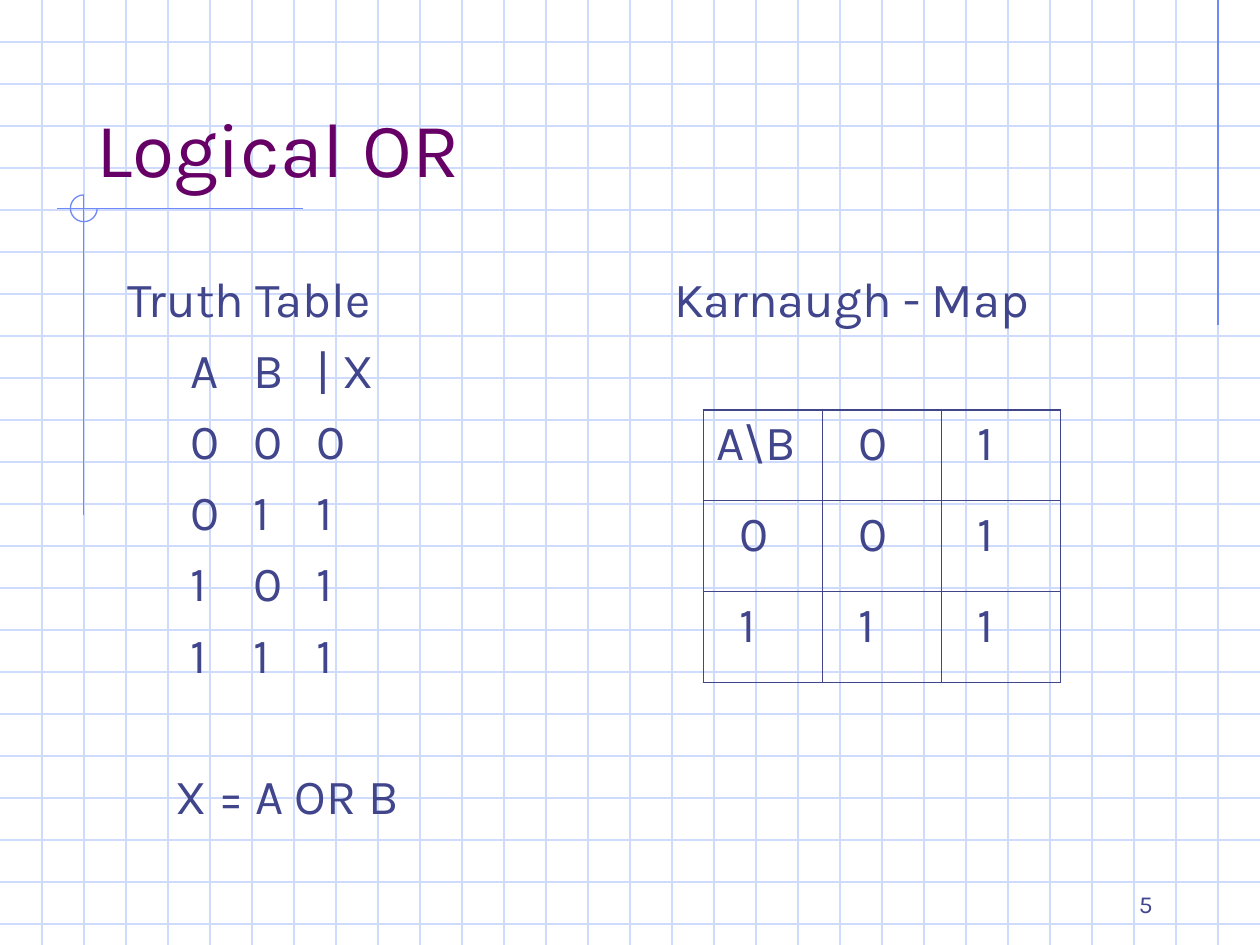
from collections import namedtuple
from dataclasses import dataclass

from lxml.etree import SubElement
from pptx import Presentation
from pptx.dml.color import RGBColor
from pptx.enum.shapes import MSO_CONNECTOR, MSO_SHAPE
from pptx.enum.text import MSO_ANCHOR, PP_ALIGN
from pptx.oxml.ns import qn
from pptx.util import Cm, Pt

Box = namedtuple("Box", "x y w h")


@dataclass(frozen=True)
class Theme:
    """Colours, type sizes and line widths of the deck."""
    font: str = "Karla"
    head: str = "660066"
    ink: str = "40458C"
    grid: str = "CFDBFD"
    mark: str = "6F89F7"
    big: float = 44
    mid: float = 28
    small: float = 14
    gap: float = 7
    thin: float = 0.75
    outer: float = 1.08
    inner: float = 0.45


LOOK = Theme()


def apply(obj, vals):
    """Set each attribute of obj named in vals."""
    for key, val in vals.items():
        setattr(obj, key, val)


def style(para, size, color, **vals):
    """Give a paragraph its font and its spacing."""
    apply(para.font, {"name": LOOK.font, "size": Pt(size)})
    para.font.color.rgb = RGBColor.from_string(color)
    apply(para, vals)


def shift(para, margin=0, stops=()):
    """Set the left indent and the tab stops of a paragraph, in cm."""
    props = para._p.get_or_add_pPr()
    props.set("marL", str(Cm(margin)))
    props.set("indent", "0")
    if stops:
        tabs = SubElement(props, qn("a:tabLst"))
        for stop in stops:
            SubElement(tabs, qn("a:tab"), pos=str(Cm(stop)), algn="l")


def frame(slide, box, **vals):
    """Add a wrapping text box and return its frame."""
    text = slide.shapes.add_textbox(*map(Cm, box)).text_frame
    apply(text, {"word_wrap": True, **vals})
    return text


def rule(slide, x, y, end, low, color):
    """Draw a straight thin line without a shadow."""
    line = slide.shapes.add_connector(
        MSO_CONNECTOR.STRAIGHT, *map(Cm, (x, y, end, low)))
    line.line.color.rgb = RGBColor.from_string(color)
    line.line.width = Pt(LOOK.thin)
    SubElement(line._element.spPr, qn("a:effectLst"))


def paper(slide, box, step):
    """Cover the box with square grid lines."""
    right, base = box.x + box.w, box.y + box.h
    for row in range(1, int(box.h / step) + 1):
        y = box.y + row * step
        rule(slide, box.x, y, right, y, LOOK.grid)
    for col in range(1, round(box.w / step)):
        x = box.x + col * step
        rule(slide, x, box.y, x, base, LOOK.grid)


def marks(slide, box):
    """Draw the crossing lines and the open ring beside the title."""
    size = 0.54
    x, y = box.x + size / 2 + 0.27, box.y + size / 2
    rule(slide, box.x + box.w, y, box.x, y, LOOK.mark)
    rule(slide, x, box.y, x, box.y + box.h, LOOK.mark)
    ring = slide.shapes.add_shape(
        MSO_SHAPE.ARC, Cm(x - size / 2), Cm(box.y), Cm(size), Cm(size))
    ring.adjustments[0], ring.adjustments[1] = 0, 162
    ring.shadow.inherit = False
    ring.fill.background()
    ring.line.color.rgb = RGBColor.from_string(LOOK.mark)
    ring.line.width = Pt(LOOK.thin)


def title(slide, box, words):
    """Write the slide title at the foot of its box."""
    para = frame(slide, box, vertical_anchor=MSO_ANCHOR.BOTTOM).paragraphs[0]
    para.text = words
    style(para, LOOK.big, LOOK.head)


def truth(slide, box, head, rows, result):
    """Write the truth table on tab stops, with its result below."""
    text = frame(slide, box)
    para = text.paragraphs[0]
    para.text = head
    style(para, LOOK.mid, LOOK.ink, space_before=Pt(LOOK.gap))
    for cells, stops in rows:
        para = text.add_paragraph()
        para.text = "".join("\t" + cell for cell in cells)
        style(para, LOOK.mid, LOOK.ink, space_before=Pt(LOOK.gap))
        shift(para, stops=(0.25, *stops))
    para = text.add_paragraph()
    para.text = result
    style(para, LOOK.mid, LOOK.ink, space_before=Pt(47.5))
    shift(para, 0.95)


def edge(cell, side, width):
    """Draw one border of a table cell."""
    line = SubElement(cell._tc.get_or_add_tcPr(), qn("a:ln" + side),
                      w=str(Pt(width)))
    SubElement(SubElement(line, qn("a:solidFill")), qn("a:srgbClr"),
               val=LOOK.ink)


def karnaugh(slide, box, head, rows):
    """Place the map heading and the map below it."""
    para = frame(slide, box).paragraphs[0]
    para.text = head
    style(para, LOOK.mid, LOOK.ink, space_before=Pt(LOOK.gap))
    count = len(rows)
    last = count - 1
    table = slide.shapes.add_table(
        count, count, Cm(box.x + 0.84), Cm(box.y + 2.97),
        Cm(7.2), Cm(5.5)).table
    apply(table, {"first_row": False, "horz_banding": False})
    for r, row in enumerate(rows):
        for c, word in enumerate(row):
            cell = table.cell(r, c)
            cell.text = word
            para = cell.text_frame.paragraphs[0]
            style(para, LOOK.mid, LOOK.ink, space_before=Pt(LOOK.gap))
            shift(para, 0.47 if r or c else 0)
            sides = {"L": c == 0, "R": c == last, "T": r == 0, "B": r == last}
            for side, rim in sides.items():
                edge(cell, side, LOOK.outer if rim else LOOK.inner)
            cell.fill.background()


def number(slide, box, words):
    """Write the page number at the lower right."""
    para = frame(slide, box, vertical_anchor=MSO_ANCHOR.BOTTOM).paragraphs[0]
    para.text = words
    style(para, LOOK.small, LOOK.ink, alignment=PP_ALIGN.RIGHT)


def main():
    """Build and save the slide."""
    deck = Presentation()
    page = Box(0, 0, 25.4, 19.05)
    apply(deck, {"slide_width": Cm(page.w), "slide_height": Cm(page.h)})
    slide = deck.slides.add_slide(deck.slide_layouts[6])
    step = page.w / 30
    paper(slide, page, step)
    rule(slide, page.w - step, 0, page.w - step, 6.55, LOOK.mark)
    marks(slide, Box(1.15, 3.93, 4.95, 6.46))
    title(slide, Box(1.69, 0.85, 21.59, 3.17), "Logical OR")
    left = Box(2.33, 5.29, 10.58, 11.43)
    truth(slide, left, "Truth Table", [
        (("A", "B", "| X"), (1.28, 2.3)),
        (("0", "0", "0"), (1.28, 2.8)),
        (("0", "1", "1"), (1.28, 2.55)),
        (("1", "0", "1"), (1.03, 2.55)),
        (("1", "1", "1"), (1.03, 2.3)),
    ], "X = A OR B")
    karnaugh(slide, left._replace(x=13.34), "Karnaugh - Map",
             [("A\\B", "0", "1"), ("0", "0", "1"), ("1", "1", "1")])
    number(slide, Box(18.2, 17.36, 5.29, 1.27), "5")
    deck.save("out.pptx")


if __name__ == "__main__":
    main()
